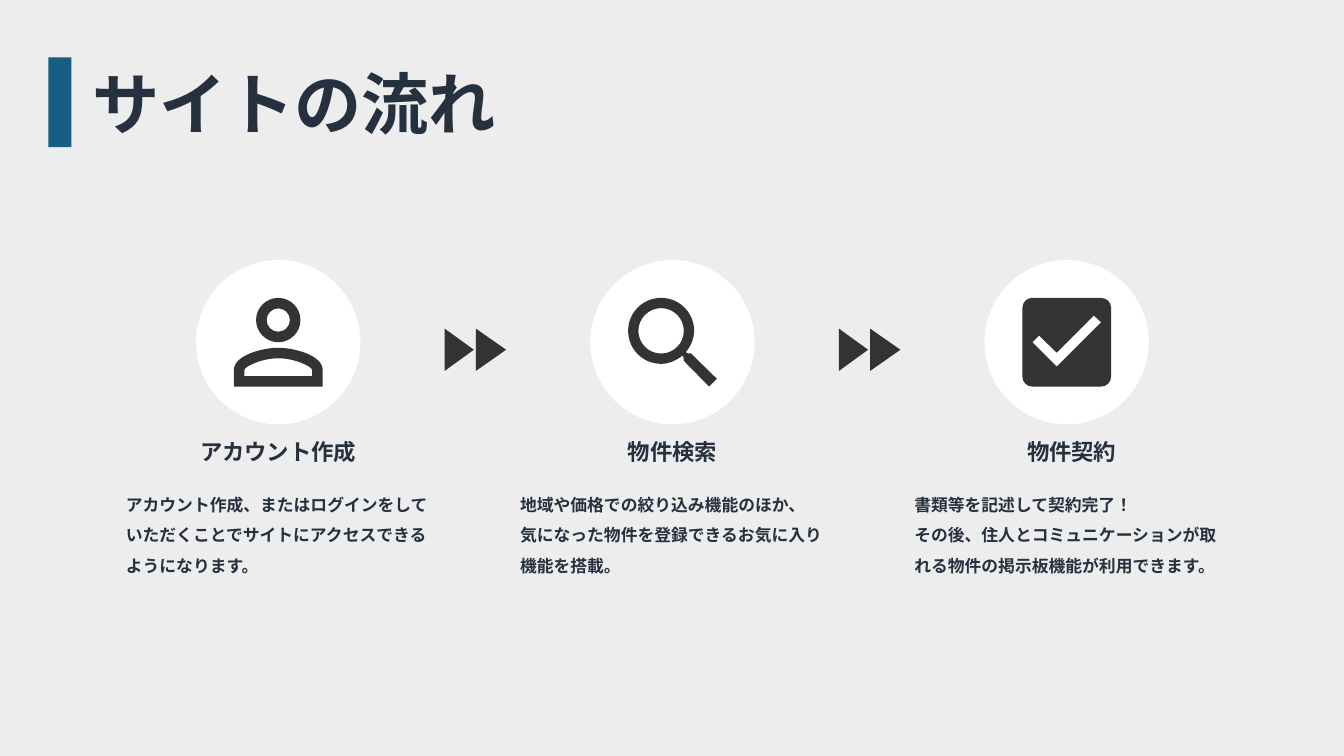
from lxml.etree import SubElement
from pptx import Presentation
from pptx.dml.color import RGBColor
from pptx.enum.lang import MSO_LANGUAGE_ID
from pptx.enum.shapes import MSO_SHAPE
from pptx.enum.text import MSO_ANCHOR, MSO_AUTO_SIZE, PP_ALIGN
from pptx.oxml.ns import qn
from pptx.util import Inches, Pt

NAVY, BLUE, DARK, WHITE, GRAY = "25313E", "156082", "333333", "FFFFFF", "EDEDED"
STEP_LEFT, STEP_TOP, STEP_WIDTH, STEP_PITCH = 1.15, 2.58, 3.22, 3.91
CIRCLE_SIZE, ICON_SIZE, ICON_GRID = 1.63, 0.88, 16
COMMANDS = {"M": ("a:moveTo", 1), "L": ("a:lnTo", 1), "C": ("a:cubicBezTo", 3),
            "Z": ("a:close", 0)}


def paint(fill, color):
    fill.solid()
    fill.fore_color.rgb = RGBColor.from_string(color)


def finish(shape, color):
    paint(shape.fill, color)
    shape.line.fill.background()
    shape.shadow.inherit = False


def add_filled(shapes, kind, left, top, width, height, color):
    shape = shapes.add_shape(kind, Inches(left), Inches(top), Inches(width), Inches(height))
    finish(shape, color)


def add_outline(shapes, drawing, left, top, width, height, unit):
    """Draw M, L, C and Z commands whose coordinates are multiples of unit inches."""
    right, bottom = Inches(width), Inches(height)
    builder = shapes.build_freeform(0, 0)
    builder.add_line_segments([(right, 0), (right, bottom), (0, bottom)])
    shape = builder.convert_to_shape(Inches(left), Inches(top))
    outline = next(shape._element.iter(qn("a:path")))
    for child in list(outline):
        outline.remove(child)
    tokens = iter(drawing.split())
    for letter in tokens:
        tag, count = COMMANDS[letter]
        command = SubElement(outline, qn(tag))
        for _ in range(count):
            point = SubElement(command, qn("a:pt"))
            for axis in ("x", "y"):
                point.set(axis, str(int(Inches(float(next(tokens)) * unit))))
    finish(shape, DARK)


def ring(x, y, radius):
    """Return the commands of a circle."""
    bend = radius * 0.55
    left, right, top, bottom = x - radius, x + radius, y - radius, y + radius
    return (f"M {x} {top} C {x + bend} {top} {right} {y - bend} {right} {y} "
            f"C {right} {y + bend} {x + bend} {bottom} {x} {bottom} "
            f"C {x - bend} {bottom} {left} {y + bend} {left} {y} "
            f"C {left} {y - bend} {x - bend} {top} {x} {top} Z ")


PERSON = (ring(8, 4, 4) + ring(8, 4, 2.1)
          + "M 8 9 C 5.3 9 0 10.3 0 13 L 0 16 L 16 16 L 16 13 C 16 10.3 10.7 9 8 9 Z "
          "M 8 10.9 C 11 10.9 14.1 12.4 14.1 13 L 14.1 14.1 L 1.9 14.1 L 1.9 13 "
          "C 1.9 12.4 5 10.9 8 10.9 Z")
SEARCH = ("M 11.3 10 L 10.8 10 L 10.4 9.8 C 11.3 8.7 11.9 7.4 11.9 5.95 "
          "C 11.9 2.66 9.24 0 5.95 0 C 2.66 0 0 2.66 0 5.95 "
          "C 0 9.24 2.66 11.9 5.95 11.9 C 7.4 11.9 8.7 11.3 9.8 10.4 "
          "L 10 10.8 L 10 11.3 L 14.6 16 L 16 14.6 Z " + ring(5.95, 5.95, 4.1))
CHECK = ("M 14.2 0 L 1.8 0 C 0.8 0 0 0.8 0 1.8 L 0 14.2 C 0 15.2 0.8 16 1.8 16 "
         "L 14.2 16 C 15.2 16 16 15.2 16 14.2 L 16 1.8 C 16 0.8 15.2 0 14.2 0 Z "
         "M 6.2 12.4 L 1.8 8 L 3 6.8 L 6.2 9.9 L 12.9 3.2 L 14.2 4.4 Z")
DOUBLE_ARROW = "M 0 0.42 L 0.29 0.21 L 0 0 Z M 0.31 0 L 0.31 0.42 L 0.61 0.21 Z"


def format_text(frame, lines, size, **formats):
    frame.text = "\n".join(lines)
    frame.word_wrap = True
    frame.auto_size = MSO_AUTO_SIZE.NONE
    font_values = {"name": "Arial", "size": Pt(size), "bold": True,
                   "language_id": MSO_LANGUAGE_ID.JAPANESE}
    for paragraph in frame.paragraphs:
        for name, value in formats.items():
            setattr(paragraph, name, value)
        for run in paragraph.runs:
            for name, value in font_values.items():
                setattr(run.font, name, value)
            run.font.color.rgb = RGBColor.from_string(NAVY)


def add_text(slide, left, top, width, height, lines, size, **formats):
    box = slide.shapes.add_textbox(Inches(left), Inches(top), Inches(width), Inches(height))
    format_text(box.text_frame, lines, size, **formats)


def add_title(slide, left, top, text):
    add_filled(slide.shapes, MSO_SHAPE.RECTANGLE, left, top, 0.23, 0.89, BLUE)
    title = slide.shapes.title
    box = {"left": left + 0.34, "top": top - 0.01, "width": 5.09, "height": 0.91}
    for name, value in box.items():
        setattr(title, name, Inches(value))
    format_text(title.text_frame, [text], 48, alignment=PP_ALIGN.LEFT)
    title.text_frame.vertical_anchor = MSO_ANCHOR.MIDDLE


def add_step(slide, left, top, width, icon, heading, heading_shift, lines):
    center = left + width / 2
    badge = slide.shapes.add_group_shape()
    add_filled(badge.shapes, MSO_SHAPE.OVAL, center - CIRCLE_SIZE / 2, top,
               CIRCLE_SIZE, CIRCLE_SIZE, WHITE)
    add_outline(badge.shapes, icon, center - ICON_SIZE / 2,
                top + (CIRCLE_SIZE - ICON_SIZE) / 2, ICON_SIZE, ICON_SIZE,
                ICON_SIZE / ICON_GRID)
    add_text(slide, center - 0.95 + heading_shift, top + 1.72, 1.9, 0.37, [heading], 16,
             alignment=PP_ALIGN.CENTER)
    add_text(slide, left, top + 2.18, width, 0.98, lines, 12, line_spacing=1.5)


def main():
    presentation = Presentation()
    presentation.slide_width, presentation.slide_height = Inches(13.33), Inches(7.5)
    slide = presentation.slides.add_slide(presentation.slide_layouts[5])
    paint(slide.background.fill, GRAY)
    add_title(slide, 0.48, 0.57, "サイトの流れ")

    steps = [
        (PERSON, "アカウント作成", 0,
         ["アカウント作成、またはログインをしていただくことでサイトにアクセスできるようになります。"]),
        (SEARCH, "物件検索", 0,
         ["地域や価格での絞り込み機能のほか、",
          "気になった物件を登録できるお気に入り機能を搭載。"]),
        (CHECK, "物件契約", 0.05,
         ["書類等を記述して契約完了！",
          "その後、住人とコミュニケーションが取れる物件の掲示板機能が利用できます。"]),
    ]
    for index, step in enumerate(steps):
        left = STEP_LEFT + index * STEP_PITCH
        add_step(slide, left, STEP_TOP, STEP_WIDTH, *step)
        if index < len(steps) - 1:
            add_outline(slide.shapes, DOUBLE_ARROW, left + 3.26, STEP_TOP + 0.68, 0.61, 0.42, 1)
    presentation.save("out.pptx")


if __name__ == "__main__":
    main()
